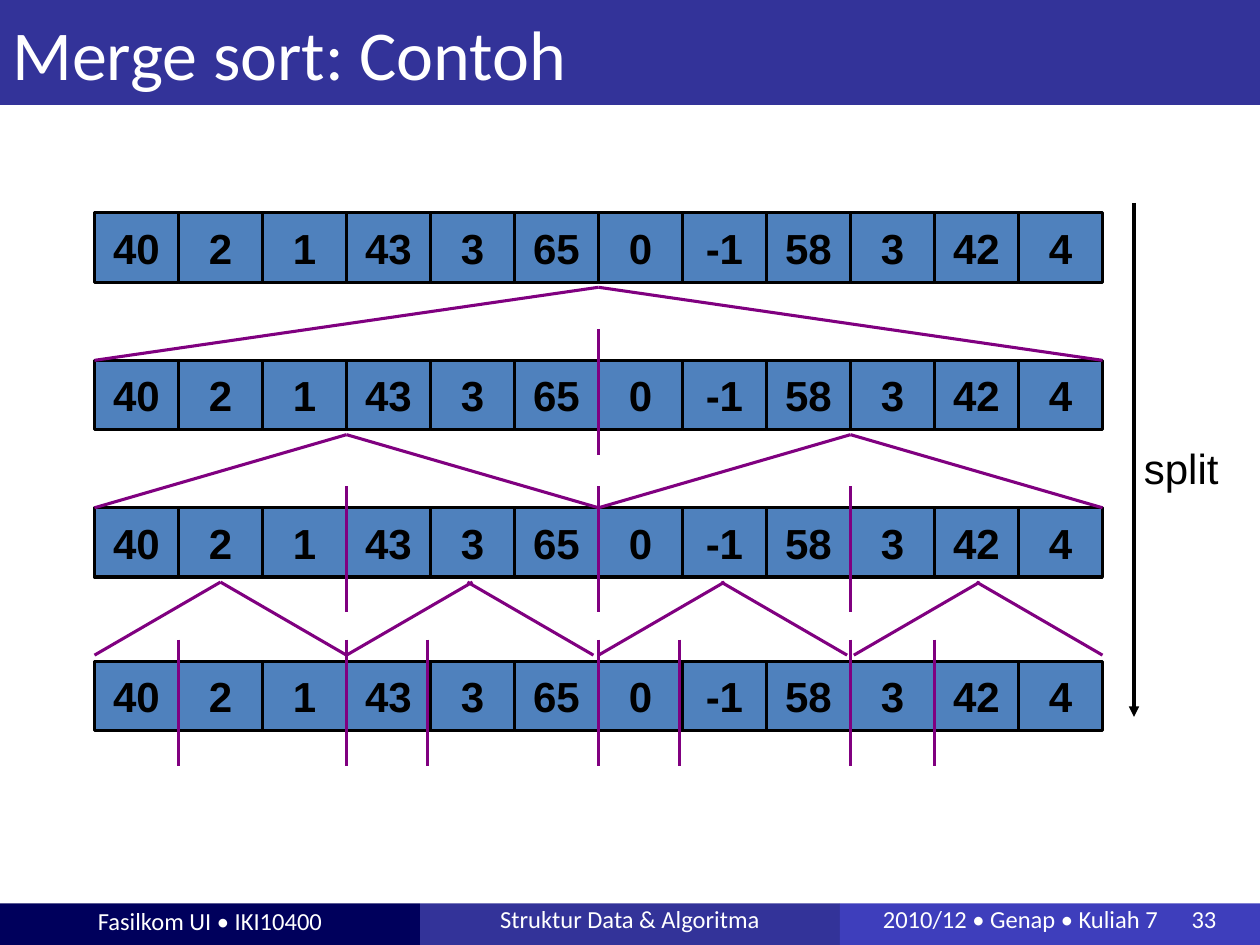
from dataclasses import dataclass
from lxml.etree import SubElement
from pptx import Presentation
from pptx.dml.color import RGBColor as RGB
from pptx.enum.shapes import MSO_CONNECTOR as CONN, MSO_SHAPE as SHAPE
from pptx.enum.text import MSO_ANCHOR as ANCHOR, PP_ALIGN as ALIGN
from pptx.oxml.ns import qn
from pptx.util import Inches, Pt

COLORS = {"navy": "00005C", "indigo": "333399", "violet": "3E3EBC", "cell": "4F81BD",
          "purple": "800080", "black": "000000", "white": "FFFFFF"}
WIDTH, HEIGHT = 10, 7.5
LEFT, TOP = 0.75, 1.69
COL, ROW = WIDTH / 15, 1.17
CELL_H, RISE, CUT_H = 0.55, 0.58, 1
BAR_TOP, BAR_H = HEIGHT * 0.956, HEIGHT * 0.044
VALUES = (40, 2, 1, 43, 3, 65, 0, -1, 58, 3, 42, 4)

TITLE = {"name": "Calibri", "size": Pt(40), "color": "white"}
FOOTER = {"name": "Calibri", "size": Pt(14), "color": "white"}
NUMBER = {"name": "Arial", "size": Pt(24), "color": "black", "bold": True}
LABEL = {"name": "Arial", "size": Pt(24), "color": "black"}


@dataclass
class Level:
    row: float
    cut_lead: float = 0
    cuts: tuple = ()
    half: float = 0
    rising: tuple = ()
    falling: tuple = ()


@dataclass
class Bar:
    text: str
    fill: str
    spacing: float = 0.81
    align: ALIGN = ALIGN.CENTER
    inset: float = 0.1
    tab: float = 0


LEVELS = (
    Level(0),
    Level(1, 0.25, (6,), 6, (0,), (12,)),
    Level(2, 0.17, (3, 6, 9), 3, (0, 6), (6, 12)),
    Level(3.04, 0.17, (1, 3, 3.97, 6, 6.97, 9, 10), 1.5, (0, 3, 6, 9.04), (3, 5.94, 8.96, 12)),
)
BARS = (
    Bar("Fasilkom UI • IKI10400", "navy", 1),
    Bar("Struktur Data & Algoritma", "indigo"),
    Bar("2010/12 • Genap • Kuliah 7\t33", "violet", align=ALIGN.LEFT, inset=0.34, tab=2.45),
)


def rgb(name: str) -> RGB:
    return RGB.from_string(COLORS[name])


def col_x(col: float) -> float:
    return LEFT + col * COL


def row_y(row: float) -> float:
    return TOP + row * ROW


def write(sp, text: str, fmt: dict, align=ALIGN.LEFT, **frame):
    tf = sp.text_frame
    for key, value in ({"vertical_anchor": ANCHOR.MIDDLE, "word_wrap": True} | frame).items():
        setattr(tf, key, value)
    p = tf.paragraphs[0]
    p.alignment = align
    r = p.add_run()
    r.text = text
    for key, value in fmt.items():
        if key == "color":
            r.font.color.rgb = rgb(value)
        else:
            setattr(r.font, key, value)
    return p


def box(s, x: float, y: float, w: float, h: float, fill: str, line: str = ""):
    sp = s.shapes.add_shape(SHAPE.RECTANGLE, *map(Inches, (x, y, w, h)))
    sp.shadow.inherit = False
    sp.fill.solid()
    sp.fill.fore_color.rgb = rgb(fill)
    if line:
        sp.line.color.rgb = rgb(line)
        sp.line.width = Pt(1.75)
    else:
        sp.line.fill.background()
    return sp


def stroke(s, x1: float, y1: float, x2: float, y2: float, color: str = "purple"):
    c = s.shapes.add_connector(CONN.STRAIGHT, *map(Inches, (x1, y1, x2, y2)))
    c.line.color.rgb = rgb(color)
    c.line.width = Pt(1.75)
    SubElement(c._element.spPr, qn("a:effectLst"))
    return c


def draw_bar(s, index: int, bar: Bar) -> None:
    width = WIDTH / len(BARS)
    sp = box(s, index * width, BAR_TOP, width, BAR_H, bar.fill)
    p = write(sp, bar.text, FOOTER, bar.align, margin_left=Inches(bar.inset),
              margin_top=0, margin_bottom=Inches(0.05))
    p.line_spacing = bar.spacing
    if bar.tab:
        tabs = SubElement(p._p.get_or_add_pPr(), qn("a:tabLst"))
        SubElement(tabs, qn("a:tab"), pos=str(Inches(bar.tab)), algn="l")


def draw_level(s, level: Level) -> None:
    top = row_y(level.row)
    for col, value in enumerate(VALUES):
        sp = box(s, col_x(col), top, COL, CELL_H, "cell", "black")
        write(sp, str(value), NUMBER, ALIGN.CENTER, word_wrap=False)
    for cut in level.cuts:
        y = top - level.cut_lead
        stroke(s, col_x(cut), y, col_x(cut), y + CUT_H)
    foot = row_y(int(level.row))
    for feet, reach in ((level.rising, level.half), (level.falling, -level.half)):
        for col in feet:
            stroke(s, col_x(col), foot, col_x(col + reach), foot - RISE)


def draw_split(s) -> None:
    x = WIDTH * 0.9
    arrow = stroke(s, x, 1.61, x, 5.69, "black")
    SubElement(arrow.line._get_or_add_ln(), qn("a:tailEnd"), type="triangle")
    sp = s.shapes.add_textbox(*map(Inches, (x - 0.02, 3.46, 0.8, 0.5)))
    write(sp, "split", LABEL, word_wrap=False, vertical_anchor=ANCHOR.TOP)


def main() -> None:
    prs = Presentation()
    prs.slide_width, prs.slide_height = Inches(WIDTH), Inches(HEIGHT)
    s = prs.slides.add_slide(prs.slide_layouts[6])
    for index, bar in enumerate(BARS):
        draw_bar(s, index, bar)
    write(box(s, 0, 0, WIDTH, HEIGHT / 9, "indigo"), "Merge sort: Contoh", TITLE)
    for level in LEVELS:
        draw_level(s, level)
    draw_split(s)
    prs.save("out.pptx")


if __name__ == "__main__":
    main()
